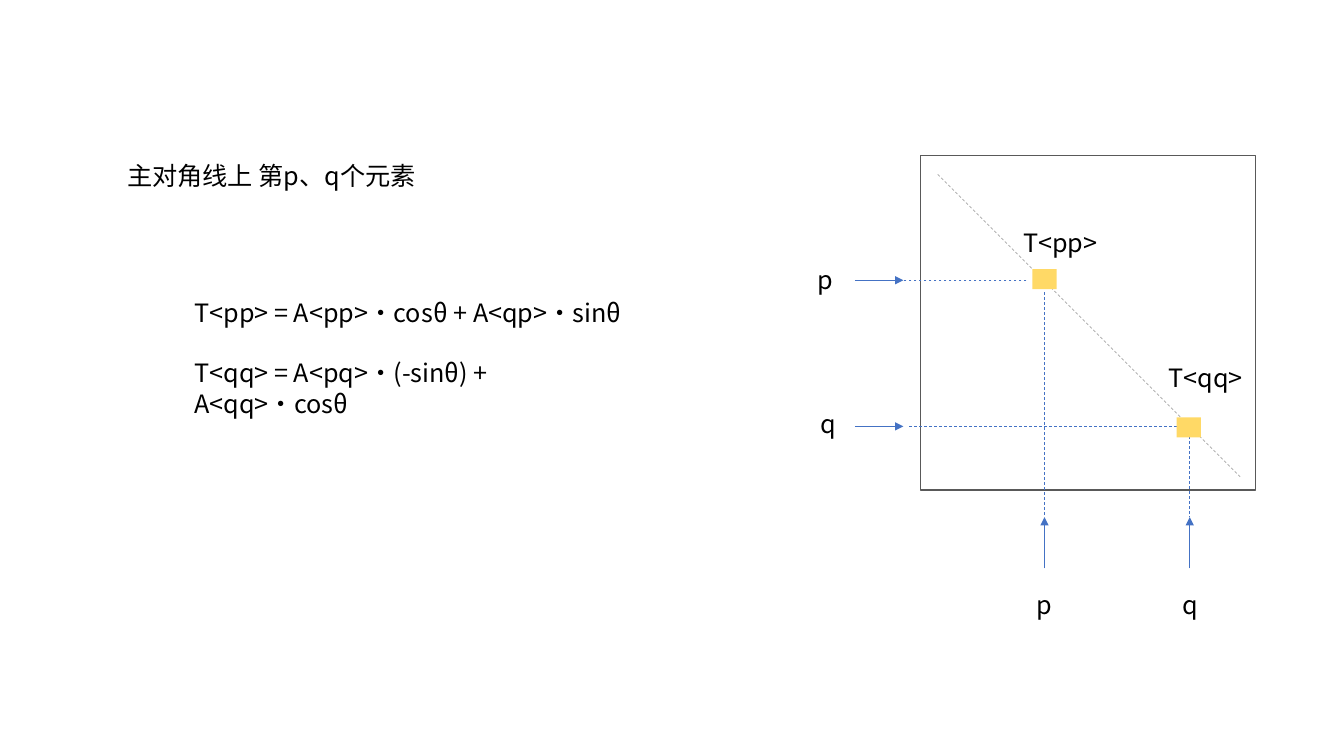
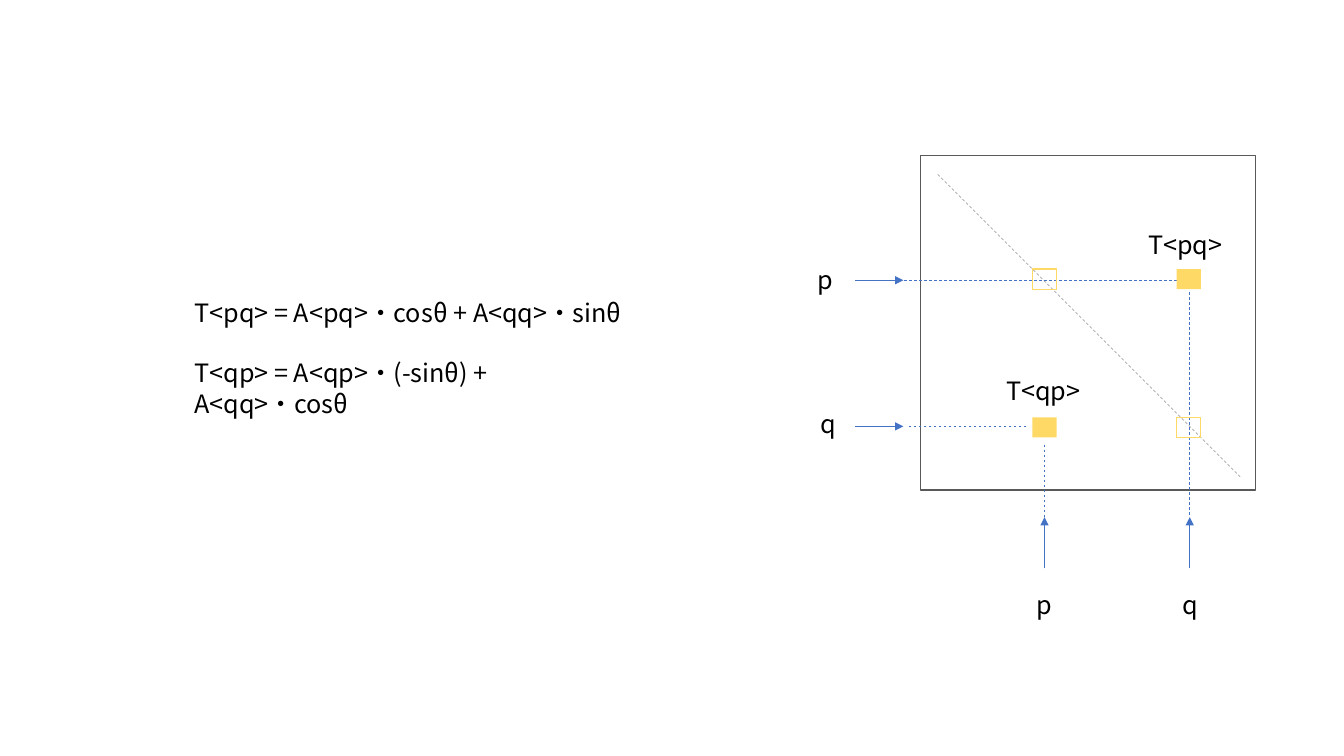
from lxml.etree import SubElement
from pptx import Presentation
from pptx.dml.color import RGBColor
from pptx.enum.dml import MSO_LINE
from pptx.enum.shapes import MSO_CONNECTOR, MSO_SHAPE
from pptx.enum.text import MSO_ANCHOR, MSO_AUTO_SIZE, PP_ALIGN
from pptx.oxml.ns import qn
from pptx.util import Inches, Pt

COLORS = {"text": "000000", "frame": "595959", "diag": "A5A5A5",
          "guide": "4472C4", "cell": "FFD966"}
FONT = "Noto Sans CJK SC"
LINE = Pt(21.6)

# Matrix grid: centre of each column and row
COLS = {"p": 10.36, "q": 11.79}
ROWS = {"p": 2.77, "q": 4.24}


def rgb(name):
    return RGBColor.from_string(COLORS[name])


class Deck:
    def __init__(self):
        self.prs = Presentation()
        self.prs.slide_width = Inches(13.33)
        self.prs.slide_height = Inches(7.5)
        self.slide = None

    def add(self, layout):
        self.slide = self.prs.slides.add_slide(self.prs.slide_layouts[layout])

    def style(self, shape, lines, gap=0):
        frame = shape.text_frame
        frame.text = "\n".join(lines)
        frame.word_wrap = True
        frame.auto_size = MSO_AUTO_SIZE.SHAPE_TO_FIT_TEXT
        frame.vertical_anchor = MSO_ANCHOR.TOP
        for i, para in enumerate(frame.paragraphs):
            para.alignment = PP_ALIGN.LEFT
            para.line_spacing = LINE
            para.space_before = gap if i else 0
            para.font.size = Pt(18)
            para.font.color.rgb = rgb("text")
            para.font.name = FONT
            # East Asian typeface
            props = para._p.pPr.find(qn("a:defRPr"))
            SubElement(props, qn("a:ea")).set("typeface", FONT)

    def title(self, text, x, y, w, h):
        shape = self.slide.shapes.title
        shape.left, shape.top = Inches(x), Inches(y)
        shape.width, shape.height = Inches(w), Inches(h)
        self.style(shape, [text])

    def text(self, lines, x, y, w, h=0.4, gap=0):
        box = self.slide.shapes.add_textbox(
            Inches(x), Inches(y), Inches(w), Inches(h))
        self.style(box, lines, gap)

    def rect(self, x, y, w, h, fill=None, line=None):
        shape = self.slide.shapes.add_shape(
            MSO_SHAPE.RECTANGLE, Inches(x), Inches(y), Inches(w), Inches(h))
        shape.shadow.inherit = False
        if fill:
            shape.fill.solid()
            shape.fill.fore_color.rgb = rgb(fill)
        else:
            shape.fill.background()
        if line:
            shape.line.color.rgb = rgb(line)
            shape.line.width = Pt(1)
        else:
            shape.line.fill.background()

    def cell(self, row, col, solid=True):
        self.rect(COLS[col] - 0.12, ROWS[row] - 0.1, 0.24, 0.2,
                  fill="cell" if solid else None,
                  line=None if solid else "cell")

    def line(self, x1, y1, x2, y2, color="guide", arrow=False):
        link = self.slide.shapes.add_connector(
            MSO_CONNECTOR.STRAIGHT,
            Inches(x1), Inches(y1), Inches(x2), Inches(y2))
        link.line.color.rgb = rgb(color)
        link.line.width = Pt(0.5)
        props = link._element.spPr
        if arrow:
            tail = SubElement(props.find(qn("a:ln")), qn("a:tailEnd"))
            tail.set("type", "triangle")
        else:
            link.line.dash_style = MSO_LINE.DASH
        SubElement(props, qn("a:effectLst"))

    def matrix(self, solid, ends, tops):
        # Frame and diagonal
        self.rect(9.13, 1.54, 3.32, 3.32, line="frame")
        self.line(9.3, 1.73, 12.3, 4.73, "diag")
        # Columns
        for name, x, left, wide in (("p", 10.36, 10.18, 0.35),
                                    ("q", 11.8, 11.63, 0.28)):
            self.line(x, 5.64, x, 5.13, arrow=True)
            self.line(x, tops[name], x, 5.13)
            self.text([name], left, 5.8, wide)
        # Rows
        for name, y, start, left, top, wide in (
                ("p", 2.78, 8.96, 8.01, 2.57, 0.35),
                ("q", 4.23, 9, 8.04, 4, 0.28)):
            self.line(ends[name], y, start, y)
            self.line(8.48, y, 8.96, y, arrow=True)
            self.text([name], left, top, wide)
        # Diagonal cells
        for name in "pq":
            self.cell(name, name, solid)

    def sums(self, *lines):
        self.text(lines, 1.83, 2.9, 4.48, 1.01, gap=LINE)


deck = Deck()

# Slide 1: entries on the diagonal
deck.add(5)
deck.title("主对角线上 第p、q个元素", 1.16, 1.54, 3.09, 0.4)
deck.sums("T<pp> = A<pp>·cosθ + A<qp>·sinθ",
          "T<qq> = A<pq>·(-sinθ) + A<qq>·cosθ")
deck.matrix(True, ends={"p": 10.18, "q": 11.67}, tops={"p": 2.9, "q": 4.33})
deck.text(["T<pp>"], 10.05, 2.21, 0.96)
deck.text(["T<qq>"], 11.49, 3.55, 0.96)

# Slide 2: entries off the diagonal
deck.add(6)
deck.sums("T<pq> = A<pq>·cosθ + A<qq>·sinθ",
          "T<qp> = A<qp>·(-sinθ) + A<qq>·cosθ")
deck.matrix(False, ends={"p": 11.67, "q": 10.18}, tops={"p": 4.41, "q": 2.9})
deck.cell("p", "q")
deck.cell("q", "p")
deck.text(["T<pq>"], 11.29, 2.23, 0.96)
deck.text(["T<qp>"], 9.88, 3.67, 0.96)

deck.prs.save("out.pptx")
